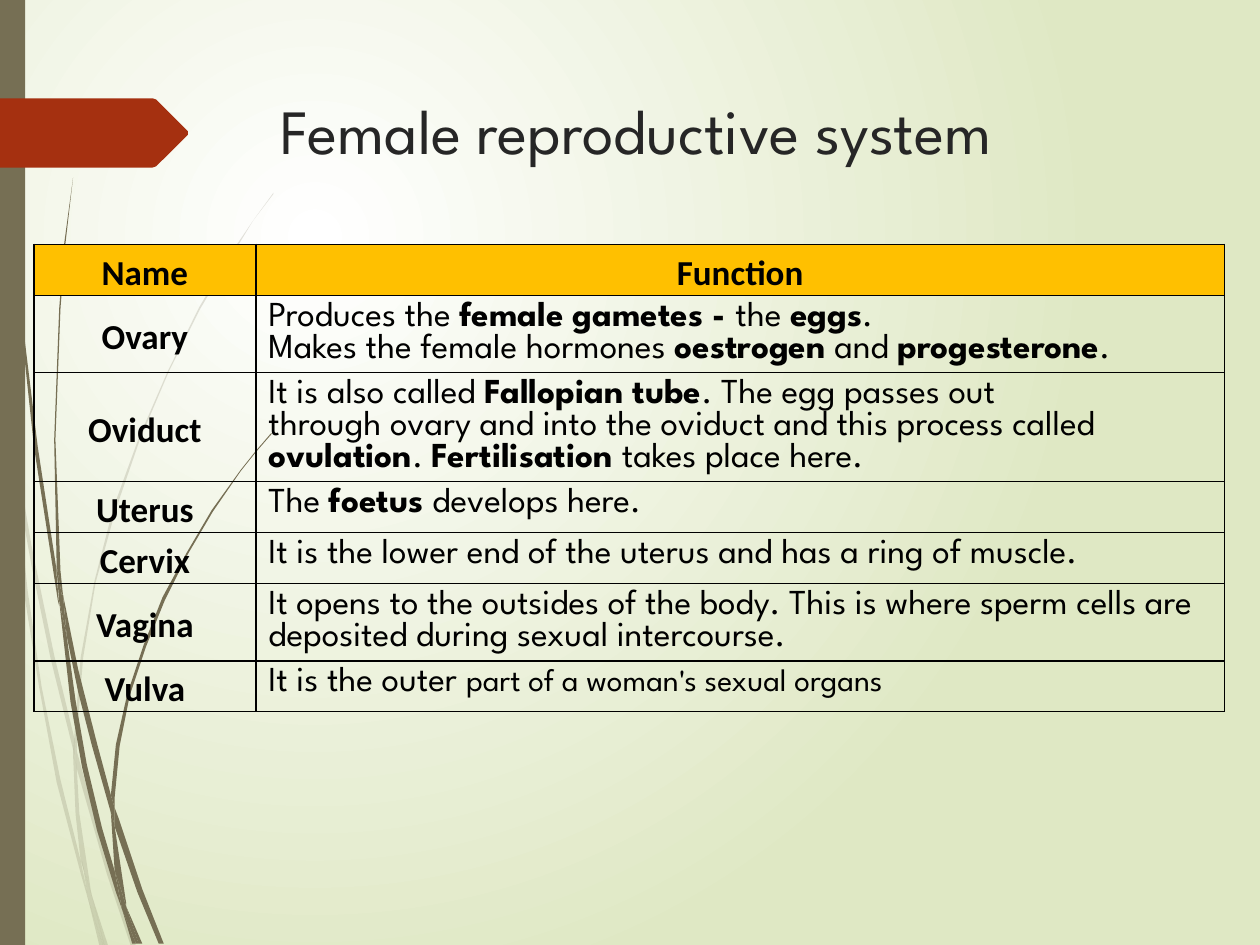
from lxml.etree import SubElement
from pptx import Presentation
from pptx.dml.color import RGBColor
from pptx.enum.shapes import MSO_SHAPE
from pptx.enum.text import MSO_ANCHOR, PP_ALIGN
from pptx.oxml.ns import qn
from pptx.util import Inches, Pt

COLORS = {
    "bg_center": "FFFFFF",
    "bg_edge": "DFE8C4",
    "stalk": "766F54",
    "tag": "A53010",
    "title": "262626",
    "text": "000000",
    "header": "FFC000",
}
HEAD_FONT, BODY_FONT = "Calibri", "League Spartan"

# Outlines as x,y points in inches
PALE_STALKS = [
    ".08,3.5 .06,3.22 0,2.82 0,2.99 .07,3.44",
    ".4,5.22 .59,5.99 .59,5.86 .43,5.2 .25,4.33 .1,3.45 .12,3.76 .25,4.49",
    ".64,6.07 .61,5.96 .61,6.1 .85,6.94 1.04,7.51 1.08,7.51 .88,6.92",
    ".83,7.51 .86,7.51 .73,7.11",
    ".64,6.83 .48,6.19 .33,5.45 .22,4.69 .12,3.76 .08,3.5 .19,4.7 .31,5.45 .45,6.21 "
    ".64,6.93 .7,7.14 .69,7.07",
    ".58,5.99 .6,6.46 .64,6.83 .67,6.92 .73,7.11 .72,7.06 .63,6.46 .61,6.1 .61,6.08",
    ".61,5.84 .66,5.22 .76,4.62 .92,4.04 1.11,3.49 1.34,2.95 1.59,2.45 1.87,1.98 2.01,1.75 "
    "2.17,1.54 2.17,1.53 2.01,1.75 1.86,1.97 1.58,2.44 1.33,2.95 1.1,3.48 .9,4.03 .75,4.61 "
    ".64,5.22 .59,5.84 .59,5.86 .61,5.96",
    ".7,7.14 .79,7.51 .82,7.51",
    ".61,6.08 .61,6.1 .61,5.96 .59,5.86 .58,5.99",
    ".67,6.92 .65,6.83 .69,7.07 .7,7.14 .82,7.51 .83,7.51 .73,7.11",
]
DARK_STALKS = [
    ".05,1.1 .14,2.33 .27,3.55 .46,4.77 .47,4.81 .45,4.57 .45,4.53 .3,3.55 .15,2.32 "
    ".06,1.09 .04,.48 .03,0 .02,0 .03,.48",
    ".73,5.92 .88,6.45 .88,6.33 .88,6.31 .77,5.9 .62,5.31 .5,4.72 .53,5.05 .62,5.49",
    ".94,6.49 .91,6.41 .91,6.56 1.09,7.08 1.26,7.49 1.3,7.49 1.13,7.06",
    ".91,6.91 .81,6.57 .69,6.07 .6,5.56 .53,5.05 .47,4.77 .56,5.57 .65,6.08 .77,6.59 "
    ".92,7.08 .97,7.22 .96,7.17",
    ".5,4.72 .48,4.53 .44,3.49 .48,2.45 .52,1.93 .58,1.41 .51,1.93 .47,2.45 .43,3.49 "
    ".45,4.49 .49,4.72",
    "1.1,7.49 1.13,7.49 1,7.19",
    ".47,4.77 .53,5.05 .5,4.72 .49,4.72 .45,4.49 .45,4.53",
    ".91,6.33 .95,5.92 1.03,5.52 1.16,5.13 1.31,4.76 1.49,4.4 1.69,4.06 1.91,3.74 2.03,3.59 "
    "2.16,3.44 2.15,3.44 2.03,3.58 1.91,3.73 1.68,4.05 1.48,4.39 1.29,4.74 1.14,5.12 "
    "1.01,5.51 .92,5.91 .88,6.31 .91,6.41",
    ".97,7.22 1.05,7.49 1.08,7.49",
    ".88,6.45 .91,6.91 .96,7.06 1,7.19 1,7.16 .91,6.56 .9,6.51",
    ".88,6.45 .9,6.51 .91,6.56 .91,6.41 .88,6.31 .88,6.33",
    ".96,7.06 .91,6.91 .96,7.17 .97,7.22 1.08,7.49 1.1,7.49 1,7.19",
]
TAG = "0,.78 1.21,.78 1.24,.79 1.49,1.04 1.49,1.07 1.24,1.32 1.21,1.33 0,1.33"

# Name and function paragraphs; ** switches bold on and off, ^ starts smaller text
ORGANS = [
    ("Ovary", ["Produces the **female gametes - **the **eggs**.",
               "Makes the female hormones **oestrogen** and **progesterone**."]),
    ("Oviduct", ["It is also called **Fallopian tube**. The egg passes out",
                 "through ovary and into the oviduct and this process called "
                 "**ovulation**. **Fertilisation** takes place here."]),
    ("Uterus", ["The **foetus** develops here."]),
    ("Cervix", ["It is the lower end of the uterus and has a ring of muscle."]),
    ("Vagina", ["It opens to the outsides of the body. This is where sperm cells are "
                "deposited during sexual intercourse."]),
    ("Vulva", ["It is the outer ^part of a woman's sexual organs"]),
]


def rgb(name):
    return RGBColor.from_string(COLORS[name])


def set_font(font, name, size, color="text", bold=None):
    font.name, font.size, font.bold = name, Pt(size), bold
    font.color.rgb = rgb(color)


def paint(sp, color):
    sp.shadow.inherit = False
    sp.fill.solid()
    sp.fill.fore_color.rgb = rgb(color)
    sp.line.fill.background()


def add_background(s):
    fill = s.background.fill
    fill.gradient()
    for stop, color in zip(fill.gradient_stops, ("bg_center", "bg_edge")):
        stop.color.rgb = rgb(color)
    grad = s.background._cSld.find(".//" + qn("a:gradFill"))
    for lin in grad.findall(qn("a:lin")):
        grad.remove(lin)
    circle = SubElement(grad, qn("a:path"), path="circle")
    SubElement(circle, qn("a:fillToRect"), l="50000", t="50000", r="100000", b="100000")


def add_outline(shapes, outline, color):
    pts = [tuple(Inches(float(v)) for v in pair.split(",")) for pair in outline.split()]
    builder = shapes.build_freeform(*pts[0])
    builder.add_line_segments(pts[1:], close=True)
    sp = builder.convert_to_shape()
    paint(sp, color)
    return sp


def add_stalks(s, outlines, alpha=None):
    group = s.shapes.add_group_shape()
    for outline in outlines:
        sp = add_outline(group.shapes, outline, "stalk")
        if alpha:
            clr = sp._element.spPr.find(qn("a:solidFill"))[0]
            SubElement(clr, qn("a:alpha"), val=str(alpha * 1000))


def add_title(s, text):
    tf = s.shapes.add_textbox(Inches(2.13), Inches(0.68), Inches(7.21), Inches(1.4)).text_frame
    tf.word_wrap = True
    p = tf.paragraphs[0]
    p.text = text
    set_font(p.font, BODY_FONT, 36, "title")


def style_cell(cell, fill=None):
    tcPr = cell._tc.get_or_add_tcPr()
    for side in ("lnL", "lnR", "lnT", "lnB"):
        ln = SubElement(tcPr, qn("a:" + side), w=str(Pt(1)))
        SubElement(SubElement(ln, qn("a:solidFill")), qn("a:srgbClr"), val=COLORS["text"])
    if fill:
        cell.fill.solid()
        cell.fill.fore_color.rgb = rgb(fill)
    else:
        cell.fill.background()


def write_name(cell, text):
    cell.vertical_anchor = MSO_ANCHOR.MIDDLE
    cell.margin_left = cell.margin_right = Inches(0.07)
    cell.margin_top = cell.margin_bottom = 0
    p = cell.text_frame.paragraphs[0]
    p.text, p.alignment, p.line_spacing = text, PP_ALIGN.CENTER, 1.15
    set_font(p.font, HEAD_FONT, 20, bold=True)


def write_function(cell, lines):
    tf = cell.text_frame
    for i, line in enumerate(lines):
        p = tf.add_paragraph() if i else tf.paragraphs[0]
        p.line_spacing = Pt(18.4)
        set_font(p.font, BODY_FONT, 20)
        for j, part in enumerate(line.split("**")):
            for size, text in zip((20, 18), part.split("^")):
                r = p.add_run()
                r.text = text
                set_font(r.font, BODY_FONT, size, bold=j % 2 == 1)


def add_organ_table(s):
    rows = len(ORGANS) + 1
    table = s.shapes.add_table(rows, 2, Inches(0.27), Inches(1.94),
                               Inches(9.45), Inches(0.405 * rows)).table
    table.first_row = table.horz_banding = False
    for col, width in zip(table.columns, (1.76, 7.69)):
        col.width = Inches(width)
    for i, heading in enumerate(("Name", "Function")):
        write_name(table.cell(0, i), heading)
        style_cell(table.cell(0, i), "header")
    for i, (name, lines) in enumerate(ORGANS, 1):
        write_name(table.cell(i, 0), name)
        write_function(table.cell(i, 1), lines)
        for cell in table.rows[i].cells:
            style_cell(cell)


def main():
    prs = Presentation()
    prs.slide_width, prs.slide_height = Inches(10), Inches(7.5)
    s = prs.slides.add_slide(prs.slide_layouts[6])
    # Backdrop: gradient, stalks, side bar and tag
    add_background(s)
    add_stalks(s, PALE_STALKS, alpha=20)
    add_stalks(s, DARK_STALKS)
    paint(s.shapes.add_shape(MSO_SHAPE.RECTANGLE, 0, 0, Inches(0.2), Inches(7.5)), "stalk")
    add_outline(s.shapes, TAG, "tag")
    # Content
    add_title(s, "Female reproductive system")
    add_organ_table(s)
    prs.save("out.pptx")


if __name__ == "__main__":
    main()
